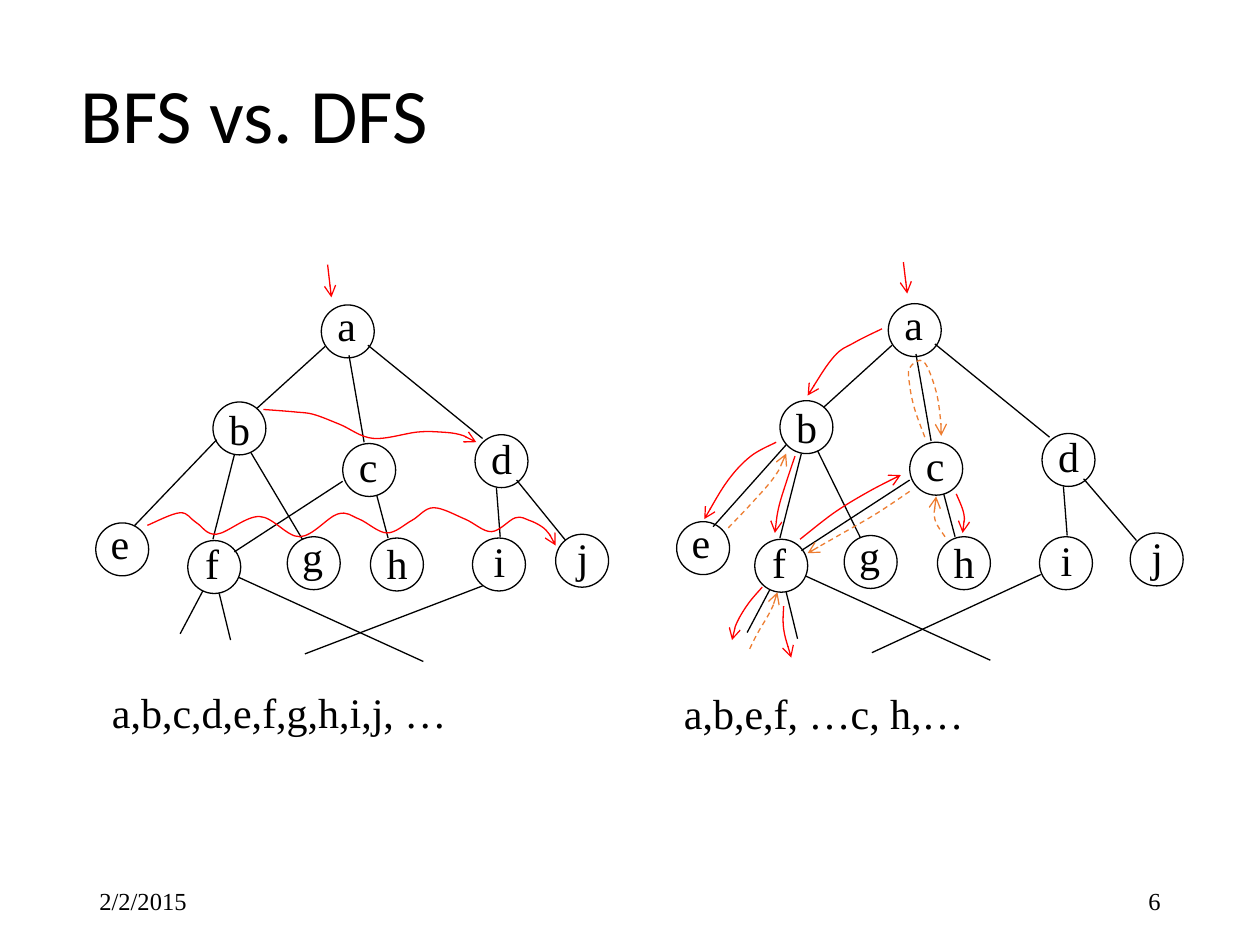
from lxml import etree
from pptx import Presentation, util as u
from pptx.dml.color import RGBColor
from pptx.enum import dml, shapes, text
from pptx.oxml.ns import qn

BLACK, RED, ORANGE = "000000", "FF0000", "ED7D31"
SIZE = 0.42
SHIFT = 4.5, -0.01

NODES = {
    "a": (2.55, 2.42, 0.03, -0.09), "b": (1.69, 3.19, 0.03, -0.04),
    "c": (2.72, 3.52, 0.03, -0.07), "d": (3.77, 3.45, 0.03, -0.07),
    "e": (0.76, 4.15, 0.02, -0.09), "f": (1.49, 4.29, 0.04, -0.07),
    "g": (2.28, 4.26, 0.02, -0.1), "h": (2.94, 4.27, 0.03, -0.05),
    "i": (3.75, 4.27, 0.07, -0.07), "j": (4.41, 4.24, 0.07, -0.07),
}
EDGES = {
    "ab": (2.58, 2.75, 2.04, 3.24), "ac": (2.77, 2.82, 2.89, 3.51),
    "ad": (2.92, 2.74, 3.83, 3.48), "be": (1.72, 3.49, 1.07, 4.17),
    "bf": (1.86, 3.61, 1.69, 4.28), "bg": (1.99, 3.59, 2.4, 4.28),
    "ch": (2.99, 3.93, 3.08, 4.27), "fc": (1.86, 4.38, 2.72, 3.82),
    "di": (3.94, 3.87, 3.97, 4.26), "dj": (4.1, 3.81, 4.49, 4.29),
    "f1": (1.61, 4.69, 1.43, 5.03), "f2": (1.74, 4.71, 1.83, 5.08),
    "f3": (1.89, 4.58, 3.36, 5.25), "i1": (3.83, 4.65, 2.42, 5.19),
}
MOVED = {"e": 0.11, "g": -0.08, "j": 0.06}
RIGHT = {
    "be": (6.24, 3.53, 5.66, 4.18), "bg": (6.49, 3.58, 6.83, 4.27),
    "dj": (8.6, 3.8, 9.02, 4.29), "i1": (8.26, 4.56, 6.92, 5.18),
}
BFS = [
    [(2.09, 3.25), (2.34, 3.27), (2.49, 3.29), (2.7, 3.37), (2.96, 3.48),
     (3.31, 3.43), (3.5, 3.43), (3.65, 3.45), (3.78, 3.51)],
    [(1.17, 4.17), (1.43, 4.07), (1.56, 4.15), (1.72, 4.24), (2.06, 4.1),
     (2.38, 4.26), (2.68, 4.08), (2.85, 4.12), (3.07, 4.23), (3.27, 4.13),
     (3.44, 4.03), (3.69, 4.12), (3.9, 4.22), (4.09, 4.11), (4.2, 4.13),
     (4.3, 4.18), (4.36, 4.24), (4.41, 4.33)],
]
DOWN = [
    [(6.31, 3.62), (6.24, 3.83), (6.18, 4.03), (6.15, 4.23)],
    [(7, 2.61), (6.78, 2.72), (6.62, 2.83), (6.41, 3.14)],
    [(6.16, 3.51), (5.96, 3.62), (5.78, 3.81), (5.59, 4.12)],
    [(6.05, 4.66), (5.94, 4.79), (5.85, 4.94), (5.81, 5.08)],
    [(6.35, 4.28), (6.62, 4.07), (6.88, 3.91), (7.15, 3.77)],
    [(7.59, 3.92), (7.65, 4.08), (7.64, 4.23)],
    [(6.22, 4.81), (6.22, 4.99), (6.28, 5.22)],
]
BACK = [
    [(5.78, 4.19), (5.97, 3.99), (6.15, 3.78), (6.24, 3.6)],
    [(5.95, 5.15), (6.01, 5.03), (6.12, 4.84), (6.17, 4.7)],
    [(7.34, 3.47), (7.26, 3.25), (7.22, 3.06), (7.22, 2.92), (7.33, 2.87),
     (7.43, 3.11), (7.47, 3.39), (7.47, 3.46)],
    [(7.5, 4.26), (7.42, 4.12), (7.43, 3.94)],
    [(7.22, 3.9), (6.95, 4.08), (6.62, 4.27), (6.41, 4.39)],
]


def cm(inch):
    return u.Cm(inch * 2.54)


def tint(code):
    return RGBColor.from_string(code)


def style(item, color, arrow=False, dash=False):
    item.line.color.rgb = tint(color)
    item.line.width = u.Pt(0.75)
    if dash:
        item.line.dash_style = dml.MSO_LINE.DASH
    if arrow:
        line = item.line._get_or_add_ln()
        etree.SubElement(line, qn("a:tailEnd"), type="arrow")


def write(slide, words, box, size=24, font="Times New Roman", align="LEFT",
          anchor="TOP", space=None):
    frame = slide.shapes.add_textbox(*map(cm, box)).text_frame
    frame.word_wrap = True
    frame.vertical_anchor = getattr(text.MSO_ANCHOR, anchor)
    para = frame.paragraphs[0]
    para.alignment = getattr(text.PP_ALIGN, align)
    para.line_spacing = space
    run = para.add_run()
    run.text = words
    run.font.size = u.Pt(size)
    run.font.name = font
    run.font.color.rgb = tint(BLACK)


def link(slide, ends, color=BLACK, arrow=False):
    line = slide.shapes.add_connector(
        shapes.MSO_CONNECTOR.STRAIGHT, *map(cm, ends))
    style(line, color, arrow)
    etree.SubElement(line._element.spPr, qn("a:effectLst"))


def node(slide, name, x, y, dx, dy):
    ring = slide.shapes.add_shape(
        shapes.MSO_SHAPE.OVAL, *map(cm, (x, y, SIZE, SIZE)))
    ring.shadow.inherit = False
    ring.fill.background()
    style(ring, BLACK)
    write(slide, name, (x + dx, y + dy, 0.43, 0.5))


def spline(knots):
    pad = [knots[0], *knots, knots[-1]]
    out = []
    for p, q, r, s in zip(pad, pad[1:], pad[2:], pad[3:]):
        out.append(tuple(b + (c - a) / 6 for a, b, c in zip(p, q, r)))
        out.append(tuple(c - (d - b) / 6 for b, c, d in zip(q, r, s)))
        out.append(r)
    return out


def curve(slide, knots, color, dash=False):
    pen = slide.shapes.build_freeform(*map(cm, knots[0]))
    pen.add_line_segments(
        [(cm(x), cm(y)) for x, y in spline(knots)], close=False)
    item = pen.convert_to_shape()
    item.shadow.inherit = False
    item.fill.background()
    style(item, color, True, dash)
    track = item._element.find(".//" + qn("a:path"))
    legs = track.findall(qn("a:lnTo"))
    for k in range(0, len(legs), 3):
        bend = etree.SubElement(track, qn("a:cubicBezTo"))
        for leg in legs[k:k + 3]:
            bend.append(leg[0])
            track.remove(leg)


def tree(slide, dx=0, dy=0, moved={}, edges={}):
    for key, (x, y, p, q) in EDGES.items():
        link(slide, edges.get(key, (x + dx, y + dy, p + dx, q + dy)))
    for name, (x, y, p, q) in NODES.items():
        node(slide, name, x + dx + moved.get(name, 0), y + dy, p, q)


def main():
    deck = Presentation()
    deck.slide_width, deck.slide_height = cm(10), cm(7.5)
    slide = deck.slides.add_slide(deck.slide_layouts[6])
    write(slide, "2/2/2015", (0.69, 6.95, 2.25, 0.4), size=14, anchor="MIDDLE")
    write(slide, "6", (7.06, 6.95, 2.25, 0.4), size=14, anchor="MIDDLE",
          align="RIGHT")
    write(slide, "BFS vs. DFS", (0.54, 0.44, 8.5, 1), size=44, font="Calibri",
          anchor="MIDDLE", space=0.9)
    tree(slide)
    tree(slide, *SHIFT, MOVED, RIGHT)
    for knots in BFS + DOWN:
        curve(slide, knots, RED)
    for knots in BACK:
        curve(slide, knots, ORANGE, dash=True)
    for ends in (2.6, 2.1, 2.63, 2.36), (7.17, 2.08, 7.2, 2.33):
        link(slide, ends, RED, arrow=True)
    write(slide, "a,b,c,d,e,f,g,h,i,j, …", (0.79, 5.4, 3.92, 0.5))
    write(slide, "a,b,e,f, …c, h,…", (5.33, 5.41, 3.68, 0.5))
    deck.save("out.pptx")


if __name__ == "__main__":
    main()
